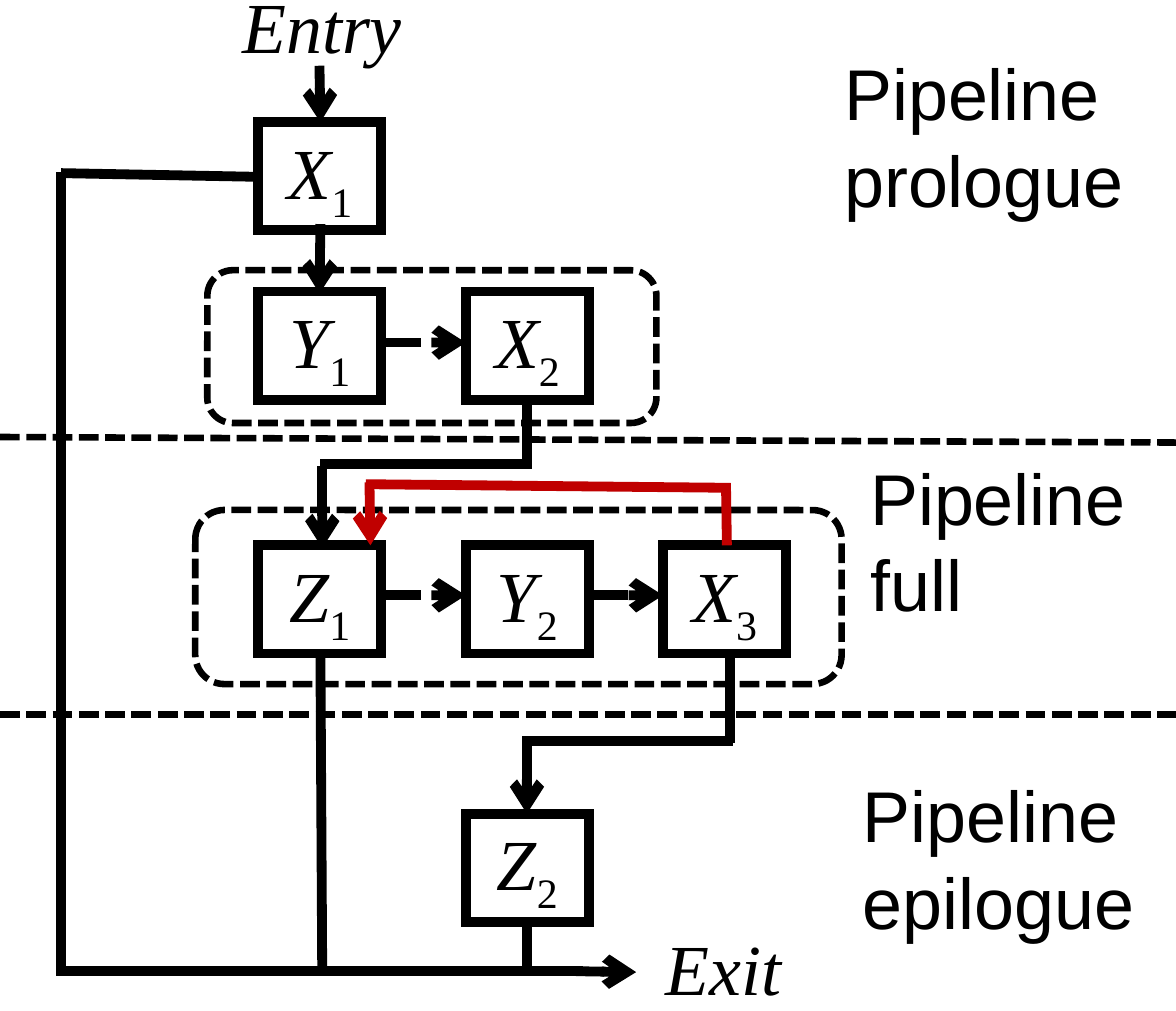
import pptx
import pptx.util
import pptx.dml.color
import pptx.enum.dml
import pptx.enum.shapes
import pptx.enum.text
import pptx.oxml
import pptx.oxml.ns
from pptx.util import Cm

BLACK, RED = "000000", "C00000"
SERIF, SANS = "Times New Roman", "Arial"
DASH = pptx.enum.dml.MSO_LINE.DASH
# Short dashes mark the stage frames and dividers.
SHORT_DASH = pptx.enum.dml.MSO_LINE.SQUARE_DOT
SHAPES = pptx.enum.shapes.MSO_SHAPE

BOX_WIDTH, BOX_HEIGHT = 1.33, 1.17
COLUMNS = [2.79, 5.03, 7.16]
ROWS = [1.32, 3.15, 5.89, 8.79]
STAGES = [("X", "1", 0, 0), ("Y", "1", 0, 1), ("X", "2", 1, 1), ("Z", "1", 0, 2),
          ("Y", "2", 1, 2), ("X", "3", 2, 2), ("Z", "2", 1, 3)]
FRAMES = [(2.24, 2.92, 4.85, 1.65), (2.11, 5.51, 6.98, 1.88)]
DIVIDERS = [(0, 4.72, 12.7, 4.78), (0, 7.72, 12.7, 7.72)]
LABELS = [("Entry", 2.49, -0.25, 2.97, 1.07, SERIF), ("Exit", 7.06, 9.93, 2.08, 1.07, SERIF),
          ("Pipeline prologue", 8.99, 0.48, 3.71, 1.98, SANS),
          ("Pipeline full", 9.27, 4.85, 3.15, 1.98, SANS),
          ("Pipeline epilogue", 9.19, 8.28, 3.28, 1.98, SANS)]
ARROWS = [(3.45, 0.71, 3.46, 1.32), (3.46, 2.42, 3.45, 3.17), (3.48, 5.03, 3.48, 5.92),
          (5.69, 8, 5.69, 8.79), (6.22, 10.49, 6.87, 10.5)]
DASHED_ARROWS = [(4.12, 3.7, 5.03, 3.7), (4.12, 6.43, 5.03, 6.43), (6.36, 6.43, 7.16, 6.43)]
PATHS = [(0.66, 1.87, 2.79, 1.91), (0.66, 1.86, 0.66, 10.5), (0.61, 10.49, 6.3, 10.49),
         (3.46, 7.02, 3.48, 10.53), (5.69, 9.96, 5.69, 10.52), (3.46, 5.01, 5.74, 5.01),
         (5.69, 4.32, 5.69, 5.03), (5.64, 8, 7.92, 8), (7.88, 7.02, 7.88, 8.02)]
LOOP_PATHS = [(3.95, 5.23, 7.89, 5.27), (7.84, 5.22, 7.85, 5.89)]
LOOP_ARROW = (3.99, 5.21, 4, 5.89)


def rgb(value):
    """Return a colour from a hex string."""
    return pptx.dml.color.RGBColor.from_string(value)


def add_line_child(line, tag, **attributes):
    """Append one child element to an outline."""
    child = pptx.oxml.parse_xml(f"<a:{tag} {pptx.oxml.ns.nsdecls('a')}/>")
    for name, value in attributes.items():
        child.set(name, value)
    line.get_or_change_to_solidFill().getparent().append(child) if hasattr(
        line, "get_or_change_to_solidFill") else line.append(child)


def style_line(line, width, color=BLACK, dash=None):
    """Set the width, colour and dash of an outline."""
    line.width = pptx.util.Pt(width)
    line.color.rgb = rgb(color)
    if dash is not None:
        line.dash_style = dash


def style_span(span, font_name, italic):
    """Set the font of one run."""
    span.font.name = font_name
    span.font.size = pptx.util.Pt(22)
    span.font.italic = italic
    span.font.color.rgb = rgb(BLACK)


def set_margins(frame):
    """Give a text frame narrow margins and wrapping."""
    frame.word_wrap = True
    frame.margin_left = frame.margin_right = Cm(0.13)
    frame.margin_top = frame.margin_bottom = Cm(0.05)


def add_outline(page, kind, left, top, width, height):
    """Add an unfilled shape without shadow."""
    box = page.shapes.add_shape(kind, Cm(left), Cm(top), Cm(width), Cm(height))
    box.shadow.inherit = False
    box.fill.background()
    return box


def add_stage(page, letter, index, column, row):
    """Add a box with a letter and its subscript."""
    box = add_outline(page, SHAPES.RECTANGLE, COLUMNS[column], ROWS[row], BOX_WIDTH, BOX_HEIGHT)
    style_line(box.line, 3)
    add_line_child(box.line._get_or_add_ln(), "miter", lim="800000")
    set_margins(box.text_frame)
    box.text_frame.vertical_anchor = pptx.enum.text.MSO_ANCHOR.MIDDLE
    para = box.text_frame.paragraphs[0]
    para.text = letter
    para.alignment = pptx.enum.text.PP_ALIGN.CENTER
    style_span(para.runs[0], SERIF, True)
    subscript = para.add_run()
    subscript.text = index
    style_span(subscript, SERIF, False)
    subscript.font._element.set("baseline", "-25000")


def add_frame(page, left, top, width, height):
    """Add a dashed rounded frame."""
    box = add_outline(page, SHAPES.ROUNDED_RECTANGLE, left, top, width, height)
    box.adjustments[0] = 0.167
    style_line(box.line, 2, dash=SHORT_DASH)


def add_label(page, text, left, top, width, height, font_name):
    """Add a text label."""
    box = page.shapes.add_textbox(Cm(left), Cm(top), Cm(width), Cm(height))
    set_margins(box.text_frame)
    box.text_frame.auto_size = pptx.enum.text.MSO_AUTO_SIZE.SHAPE_TO_FIT_TEXT
    box.text_frame.text = text
    style_span(box.text_frame.paragraphs[0].runs[0], font_name, font_name == SERIF)


def add_path(page, points, width=3, color=BLACK, dash=None, arrow=False):
    """Add a straight line, with an arrowhead if asked."""
    path = page.shapes.add_connector(
        pptx.enum.shapes.MSO_CONNECTOR.STRAIGHT, *[Cm(value) for value in points])
    style_line(path.line, width, color, dash)
    if arrow:
        add_line_child(path.line._get_or_add_ln(), "tailEnd", type="arrow")
    path._element.spPr.append(
        pptx.oxml.parse_xml(f"<a:effectLst {pptx.oxml.ns.nsdecls('a')}/>"))


def main():
    """Build the pipeline flow slide."""
    deck = pptx.Presentation()
    deck.slide_width, deck.slide_height = Cm(12.7), Cm(10.92)
    page = deck.slides.add_slide(deck.slide_layouts[6])
    for stage in STAGES:
        add_stage(page, *stage)
    for label in LABELS:
        add_label(page, *label)
    for divider in DIVIDERS:
        add_path(page, divider, 2, dash=SHORT_DASH)
    for frame in FRAMES:
        add_frame(page, *frame)
    for arrow in ARROWS:
        add_path(page, arrow, arrow=True)
    for arrow in DASHED_ARROWS:
        add_path(page, arrow, dash=DASH, arrow=True)
    add_path(page, LOOP_ARROW, color=RED, arrow=True)
    for path in LOOP_PATHS:
        add_path(page, path, color=RED)
    for path in PATHS:
        add_path(page, path)
    deck.save("out.pptx")


if __name__ == "__main__":
    main()
